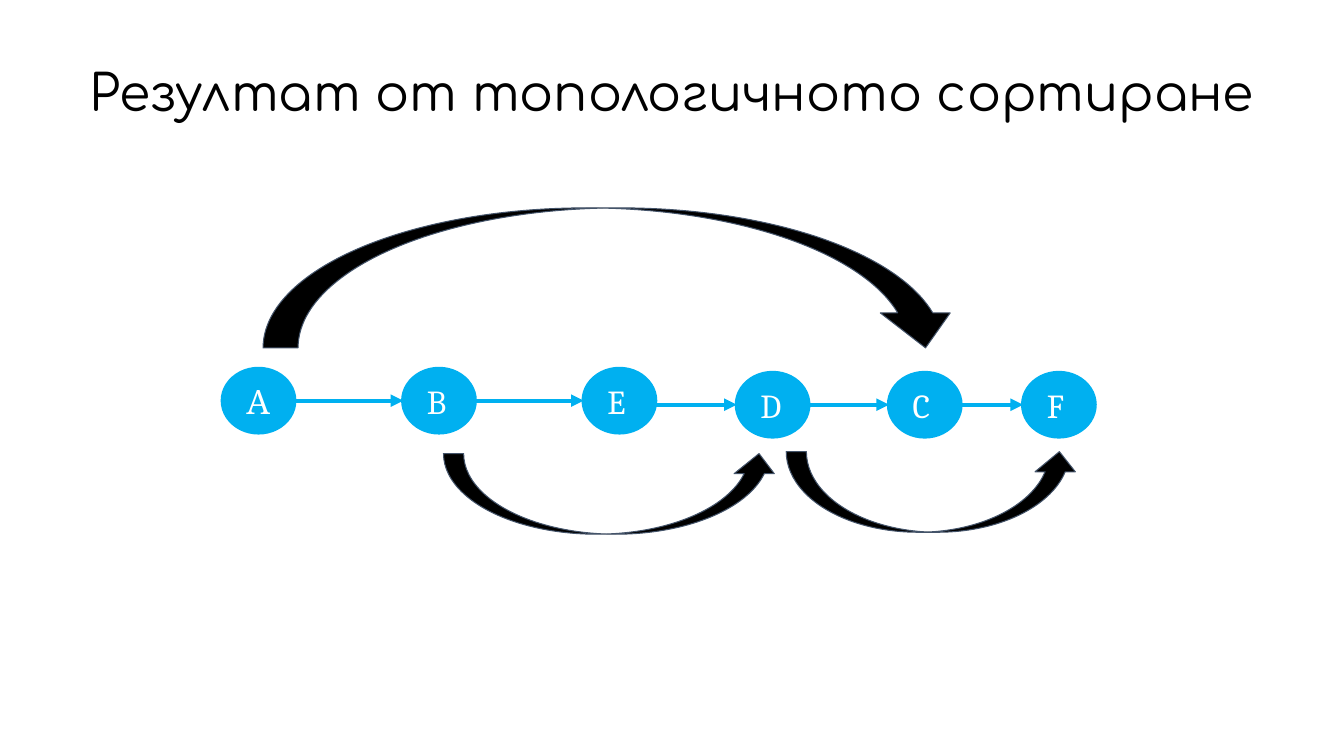
from pptx import Presentation
from pptx.dml.color import RGBColor
from pptx.enum.shapes import MSO_CONNECTOR, MSO_SHAPE
from pptx.enum.text import MSO_ANCHOR, PP_ALIGN
from pptx.oxml.ns import qn
from pptx.util import Pt
from lxml import etree

STRAIGHT = MSO_CONNECTOR.STRAIGHT
OVAL = MSO_SHAPE.OVAL
ARC_DOWN = MSO_SHAPE.CURVED_DOWN_ARROW
ARC_UP = MSO_SHAPE.CURVED_UP_ARROW
MIDDLE = MSO_ANCHOR.MIDDLE
LEFT, CENTER = PP_ALIGN.LEFT, PP_ALIGN.CENTER

COLORS = {"node": "00B0F0", "label": "FFFFFF", "ink": "000000", "arc_edge": "44546A"}
NODE_WIDTH, NODE_HEIGHT = 51.1, 45.4
NODES = [("А", 159.1, 263.5), ("B", 288, 263.5), ("E", 416.9, 263.5),
         ("D", 526.3, 266.4), ("C", 635, 266.4), ("F", 730.8, 266.4)]
ARCS = [(ARC_DOWN, (187.9, 148.5, 498.2, 100)),
        (ARC_UP, (316.8, 324, 239.8, 57.6)),
        (ARC_UP, (561.6, 322.6, 209.5, 57.6))]


def color(name):
    """Return the named colour."""
    return RGBColor.from_string(COLORS[name])


def write_text(shape, text, font, size, tint, alignment, insets):
    """Put one vertically centred line of text in a shape."""
    frame = shape.text_frame
    frame.word_wrap = True
    frame.vertical_anchor = MIDDLE
    frame.margin_left = frame.margin_right = Pt(insets[0])
    frame.margin_top = frame.margin_bottom = Pt(insets[1])
    para = frame.paragraphs[0]
    para.alignment = alignment
    span = para.add_run()
    span.text = text
    span.font.name = font
    span.font.size = Pt(size)
    span.font.color.rgb = color(tint)
    return para


def add_title(page, box, text):
    """Add the slide heading in its box."""
    heading = page.shapes.add_textbox(*map(Pt, box))
    para = write_text(heading, text, "Comfortaa", 36, "ink", CENTER, (8.6, 2.9))
    para.line_spacing = 0.9


def add_filled_shape(page, kind, box, fill, edge, weight):
    """Add a flat preset shape in its box."""
    shape = page.shapes.add_shape(kind, *map(Pt, box))
    shape.shadow.inherit = False
    shape.fill.solid()
    shape.fill.fore_color.rgb = color(fill)
    shape.line.color.rgb = color(edge)
    shape.line.width = Pt(weight)
    return shape


def add_link(page, start_x, end_x, y):
    """Add a level arrow between two nodes."""
    link = page.shapes.add_connector(STRAIGHT, Pt(start_x), Pt(y), Pt(end_x), Pt(y))
    link.line.color.rgb = color("node")
    link.line.width = Pt(3)
    etree.SubElement(link.line._get_or_add_ln(), qn("a:tailEnd"), type="triangle")
    etree.SubElement(link._element.spPr, qn("a:effectLst"))


def add_chain(page, nodes):
    """Add the sorted nodes and the arrows joining neighbours."""
    for label, left, top in nodes:
        box = (left, top, NODE_WIDTH, NODE_HEIGHT)
        node = add_filled_shape(page, OVAL, box, "node", "node", 3)
        write_text(node, label, "Cambria", 24, "label", LEFT, (9.4, 9.4))
    for (_, left, _), (_, next_left, next_top) in zip(nodes, nodes[1:]):
        add_link(page, left + NODE_WIDTH, next_left, next_top + NODE_HEIGHT / 2)


def main():
    """Build and save the slide."""
    deck = Presentation()
    deck.slide_width, deck.slide_height = Pt(960), Pt(540)
    page = deck.slides.add_slide(deck.slide_layouts[6])
    add_title(page, (29.5, 24.5, 900.7, 87.1), "Резултат от топологичното сортиране")
    add_chain(page, NODES)
    for kind, box in ARCS:
        add_filled_shape(page, kind, box, "ink", "arc_edge", 0.75)
    deck.save("out.pptx")


if __name__ == "__main__":
    main()
